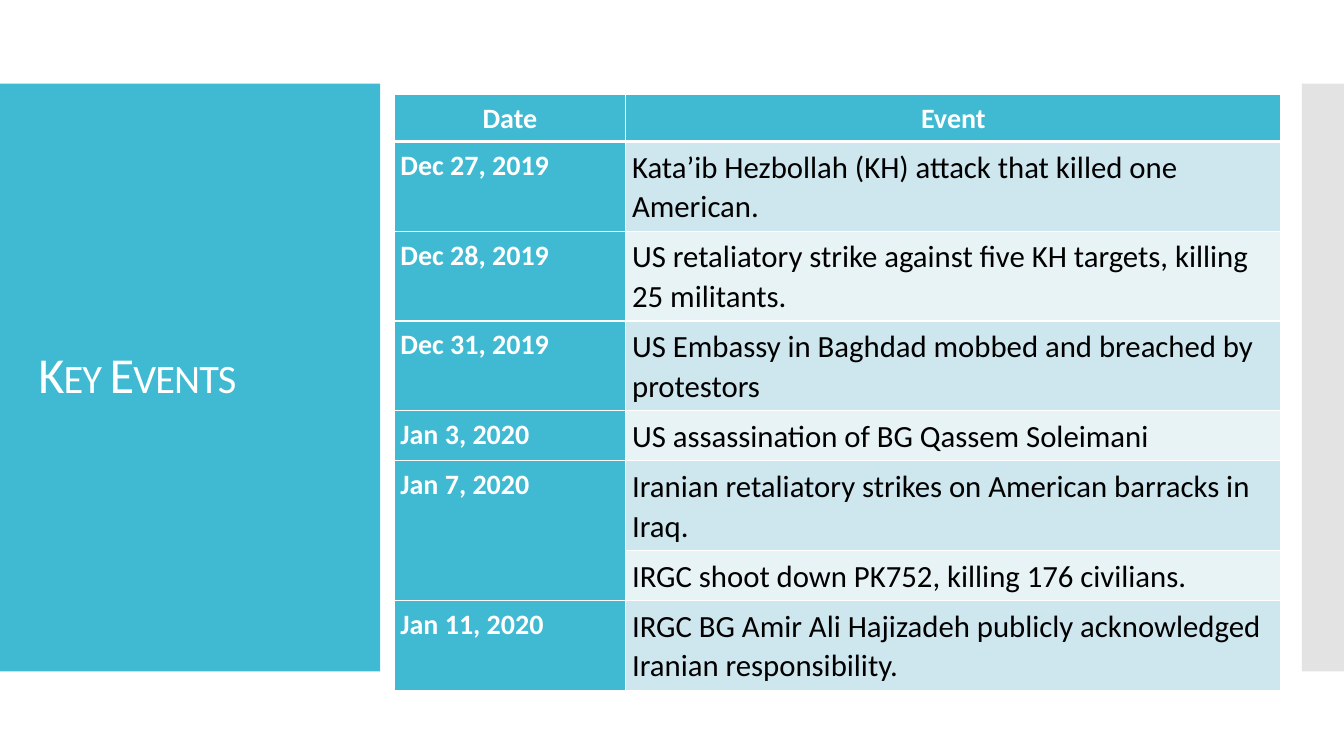
from pptx import Presentation
from pptx.dml.color import RGBColor as RGB
from pptx.enum.shapes import MSO_SHAPE as Shape
from pptx.enum.text import MSO_ANCHOR as Anchor, MSO_AUTO_SIZE as AutoSize, PP_ALIGN as Align
from pptx.oxml import parse_xml
from pptx.oxml.ns import nsdecls
from pptx.util import Cm, Pt

TITLE = "Key Events"
HEADER = ("Date", "Event")
EVENTS = [
    ("Dec 27, 2019", ["Kata’ib Hezbollah (KH) attack that killed one American."]),
    ("Dec 28, 2019", ["US retaliatory strike against five KH targets, killing 25 militants."]),
    ("Dec 31, 2019", ["US Embassy in Baghdad mobbed and breached by protestors"]),
    ("Jan 3, 2020", ["US assassination of BG Qassem Soleimani"]),
    ("Jan 7, 2020", ["Iranian retaliatory strikes on American barracks in Iraq.",
                     "IRGC shoot down PK752, killing 176 civilians."]),
    ("Jan 11, 2020", ["IRGC BG Amir Ali Hajizadeh publicly acknowledged Iranian responsibility."]),
]

THEME = {
    "font": "Calibri",
    "accent": RGB(0x40, 0xBA, 0xD2),
    "side": RGB(0xE3, 0xE3, 0xE3),
    "white": RGB(0xFF, 0xFF, 0xFF),
    "black": RGB(0, 0, 0),
    "bands": (RGB(0xCE, 0xE6, 0xEE), RGB(0xE8, 0xF3, 0xF6)),
    "title": Pt(36), "label": Pt(20), "body": Pt(22),
    "rule": Pt(0.96), "heavy": Pt(3),
}
LABEL = {"name": THEME["font"], "size": THEME["label"], "bold": True}
BODY = {"name": THEME["font"], "size": THEME["body"], "bold": False}
HEADING = {"name": THEME["font"], "size": THEME["title"], "bold": False}

SLIDE_W, SLIDE_H = Cm(33.87), Cm(19.05)
PANEL_TOP, PANEL_H = Cm(2.11), Cm(14.81)
PANEL_W, SIDE_W = Cm(9.58), Cm(1.06)
TITLE_BOX = {"left": Cm(0.71), "top": Cm(3.12), "width": Cm(8.18), "height": Cm(12.78)}
TABLE_LEFT, TABLE_TOP = Cm(9.93), Cm(2.39)
COLUMNS = (Cm(5.84), Cm(16.51))
HEADER_H, LINE_H = Cm(1.02), Cm(1.12)
LINE_CHARS = 48
MARGINS = {"margin_left": Cm(0.16), "margin_right": Cm(0.16),
           "margin_top": Cm(0.13), "margin_bottom": Cm(0.13)}


def apply(target, values):
    for name, value in values.items():
        setattr(target, name, value)


def write(tf, text, font, color, spacing, align=Align.LEFT):
    p = tf.paragraphs[0]
    apply(p, {"alignment": align, "line_spacing": spacing,
              "space_before": Pt(0), "space_after": Pt(0)})
    r = p.add_run()
    r.text = text
    apply(r.font, font)
    r.font.color.rgb = color
    return r


def add_panel(s, left, width, color):
    sp = s.shapes.add_shape(Shape.RECTANGLE, left, PANEL_TOP, width, PANEL_H)
    sp.shadow.inherit = False
    sp.fill.solid()
    sp.fill.fore_color.rgb = color
    sp.line.fill.background()


def add_borders(cell, top, bottom):
    tc_pr = cell._tc.get_or_add_tcPr()
    widths = {"L": THEME["rule"], "R": THEME["rule"], "T": top, "B": bottom}
    for side, width in widths.items():
        tc_pr.append(parse_xml(
            f'<a:ln{side} {nsdecls("a")} w="{int(width)}"><a:solidFill>'
            f'<a:srgbClr val="{THEME["white"]}"/></a:solidFill></a:ln{side}>'))


def add_title(s):
    title = s.shapes.title
    apply(title, TITLE_BOX)
    s.shapes._spTree.append(title._element)
    tf = title.text_frame
    apply(tf, {"word_wrap": True, "auto_size": AutoSize.NONE,
               "vertical_anchor": Anchor.MIDDLE})
    r = write(tf, TITLE, HEADING, THEME["white"], 0.9)
    r_pr = r.font._element
    for name, value in {"cap": "small", "spc": "-60"}.items():
        r_pr.set(name, value)


def add_events(s):
    rows = [HEADER]
    merges = []
    for date, events in EVENTS:
        if len(events) > 1:
            merges.append((len(rows), len(rows) + len(events) - 1))
        rows += [(date if i == 0 else "", event) for i, event in enumerate(events)]
    heights = [HEADER_H] + [LINE_H * (2 if len(event) > LINE_CHARS else 1)
                            for _, event in rows[1:]]
    table = s.shapes.add_table(len(rows), len(COLUMNS), TABLE_LEFT, TABLE_TOP,
                               sum(COLUMNS), sum(heights)).table
    for column, width in zip(table.columns, COLUMNS):
        column.width = width
    for i, (row, height) in enumerate(zip(rows, heights)):
        table.rows[i].height = height
        for j, text in enumerate(row):
            cell = table.cell(i, j)
            is_label = i == 0 or j == 0
            apply(cell, MARGINS)
            add_borders(cell, THEME["heavy" if i == 1 else "rule"],
                        THEME["heavy" if i == 0 else "rule"])
            cell.fill.solid()
            cell.fill.fore_color.rgb = THEME["accent"] if is_label else THEME["bands"][(i - 1) % 2]
            if text:
                write(cell.text_frame, text, LABEL if is_label else BODY,
                      THEME["white" if is_label else "black"], 1.06,
                      Align.CENTER if i == 0 else Align.LEFT)
    for first, last in merges:
        table.cell(first, 0).merge(table.cell(last, 0))


def main():
    prs = Presentation()
    apply(prs, {"slide_width": SLIDE_W, "slide_height": SLIDE_H})
    s = prs.slides.add_slide(prs.slide_layouts[5])
    add_panel(s, 0, PANEL_W, THEME["accent"])
    add_panel(s, SLIDE_W - SIDE_W, SIDE_W, THEME["side"])
    add_title(s)
    add_events(s)
    prs.save("out.pptx")


if __name__ == "__main__":
    main()
